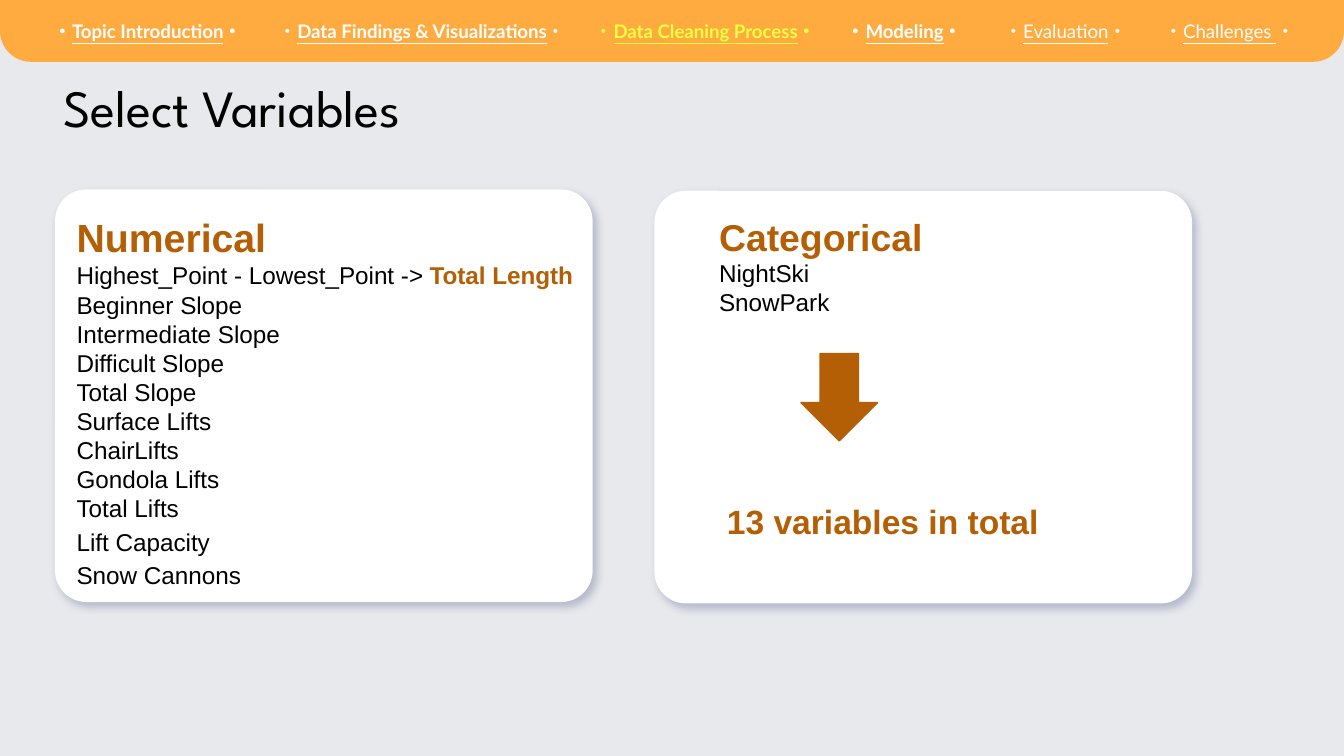
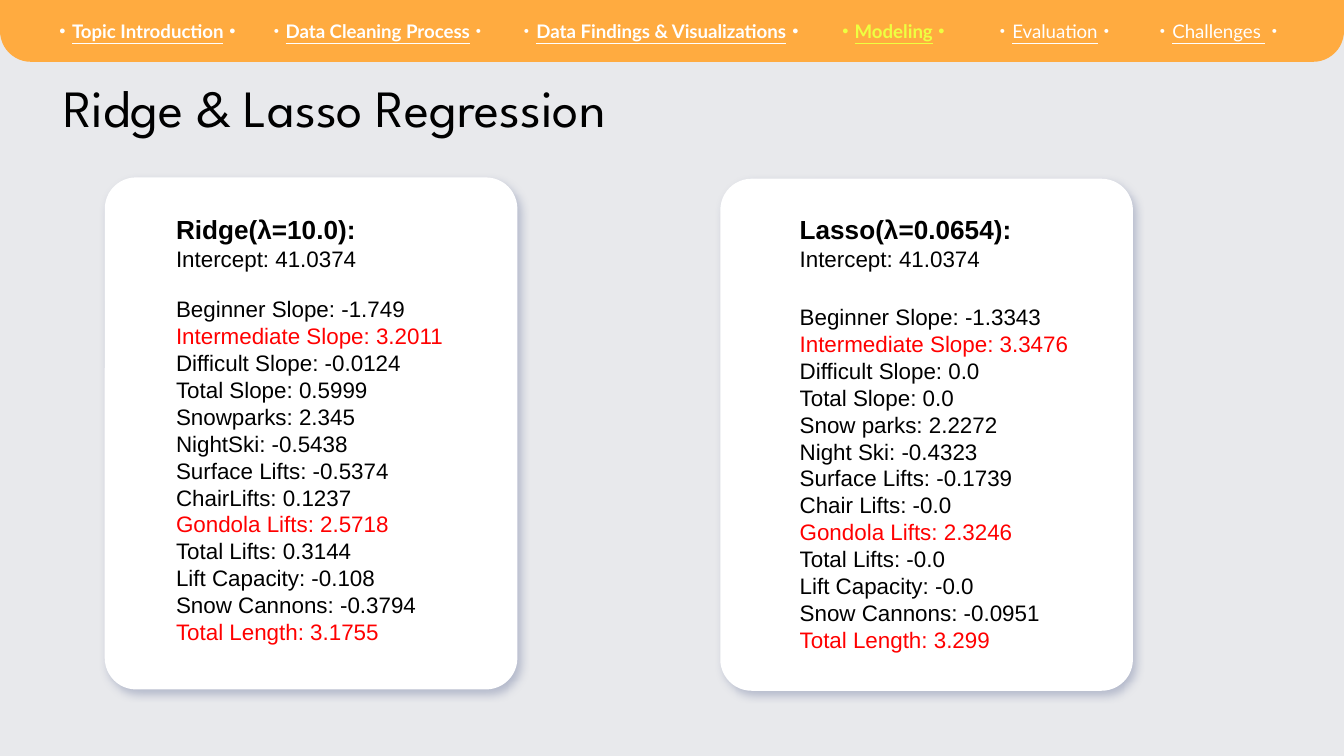
from dataclasses import dataclass
from typing import NamedTuple

from lxml import etree
from pptx import Presentation
from pptx import util as u
from pptx.dml.color import RGBColor
from pptx.enum import shapes, text
from pptx.oxml.ns import qn

PAGE, BAND, WHITE, BLACK = "E8E9EC", "FFAB40", "FFFFFF", "000000"
ACTIVE, BROWN, RED, SHADOW = "EEFF41", "B45F06", "FF0000", "22346F"
LINE_HEIGHT = 1.2
HIGHLIGHTS = ("Intermediate Slope", "Gondola Lifts", "Total Length")


class Box(NamedTuple):
    left: float
    top: float
    width: float
    height: float


@dataclass
class Run:
    text: str
    size: float
    color: str = BLACK
    bold: bool = False
    underline: bool = False
    font: str = "Arial"


@dataclass
class Line:
    runs: list[Run]
    spacing: float = 1.0
    gap: float = 0


@dataclass
class Tab:
    """Navigation entry; bold covers opening dot, label and closing dot."""
    label: str
    left: float
    width: float
    bold: tuple[bool, bool, bool]


@dataclass
class Panel:
    card: Box
    words: Box
    lines: list[Line]


@dataclass
class Page:
    title: str
    active: str
    tabs: list[Tab]
    panels: list[Panel]


def rgb(value: str) -> RGBColor:
    return RGBColor.from_string(value)


def place(shape, box: Box) -> None:
    for side, length in box._asdict().items():
        setattr(shape, side, u.Inches(length))


def set_frame(frame, inset: float, anchor=text.MSO_ANCHOR.TOP) -> None:
    margin = u.Inches(inset)
    values = {"word_wrap": True, "auto_size": text.MSO_AUTO_SIZE.NONE,
              "vertical_anchor": anchor, "margin_left": margin,
              "margin_right": margin, "margin_top": margin,
              "margin_bottom": margin}
    for name, value in values.items():
        setattr(frame, name, value)


def add_run(paragraph, run: Run) -> None:
    piece = paragraph.add_run()
    piece.text = run.text
    values = {"name": run.font, "size": u.Pt(run.size), "bold": run.bold,
              "underline": run.underline}
    for name, value in values.items():
        setattr(piece.font, name, value)
    piece.font.color.rgb = rgb(run.color)


def write(frame, lines: list[Line]) -> None:
    """Fill a frame with flush-left lines that have no bullets."""
    set_frame(frame, 0.1)
    for index, line in enumerate(lines):
        paragraph = frame.add_paragraph() if index else frame.paragraphs[0]
        height = max(run.size for run in line.runs) * LINE_HEIGHT
        values = {"alignment": text.PP_ALIGN.LEFT,
                  "line_spacing": u.Pt(height * line.spacing),
                  "space_before": u.Pt(line.gap), "space_after": u.Pt(0)}
        for name, value in values.items():
            setattr(paragraph, name, value)
        properties = paragraph._p.get_or_add_pPr()
        for name in ("marL", "indent"):
            properties.set(name, "0")
        etree.SubElement(properties, qn("a:buNone"))
        for run in line.runs:
            add_run(paragraph, run)


def add_filled(slide, kind, box: Box, color: str, adjustments=()):
    shape = slide.shapes.add_shape(kind, *map(u.Inches, box))
    for index, value in enumerate(adjustments):
        shape.adjustments[index] = value
    shape.fill.solid()
    shape.fill.fore_color.rgb = rgb(color)
    shape.line.fill.background()
    shape.shadow.inherit = False
    return shape


def add_card(slide, box: Box) -> None:
    card = add_filled(slide, shapes.MSO_SHAPE.ROUNDED_RECTANGLE, box, WHITE,
                      (0.076,))
    effects = card.element.spPr.find(qn("a:effectLst"))
    shadow = etree.SubElement(
        effects, qn("a:outerShdw"), blurRad=str(u.Pt(4.5)), dist=str(u.Pt(3)),
        dir=str(54 * 60000), algn="bl", rotWithShape="0")
    tint = etree.SubElement(shadow, qn("a:srgbClr"), val=SHADOW)
    etree.SubElement(tint, qn("a:alpha"), val="26000")


def add_words(slide, box: Box):
    return slide.shapes.add_textbox(*map(u.Inches, box)).text_frame


def add_navigation(slide, tabs: list[Tab], active: str) -> None:
    band = add_filled(slide, shapes.MSO_SHAPE.ROUND_2_SAME_RECTANGLE,
                      Box(0, 0, 10, 0.46), BAND, (0.5, 0))
    band.rotation = 180
    for tab in tabs:
        frame = add_words(slide, Box(tab.left, 0.04, tab.width, 0.38))
        set_frame(frame, 0.1, text.MSO_ANCHOR.MIDDLE)
        entry = frame.paragraphs[0]
        entry.alignment = text.PP_ALIGN.CENTER
        color = ACTIVE if tab.label == active else WHITE
        for part, bold in zip(("・", tab.label, "・"), tab.bold):
            add_run(entry, Run(part, 10, color, bold, part != "・", "Lato"))


def add_title(slide, title: str) -> None:
    heading = slide.shapes.title
    place(heading, Box(0.47, 0.47, 6.23, 0.47))
    set_frame(heading.text_frame, 0)
    paragraph = heading.text_frame.paragraphs[0]
    paragraph.alignment = text.PP_ALIGN.LEFT
    paragraph.line_spacing = 1.2
    add_run(paragraph, Run(title, 28, font="League Spartan"))


def add_page(prs, page: Page):
    slide = prs.slides.add_slide(prs.slide_layouts.get_by_name("Two Content"))
    heading, *bodies = slide.placeholders
    for panel in reversed(page.panels):
        add_card(slide, panel.card)
    for holder in (heading, *bodies):  # bring the text in front of the cards
        holder.element.getparent().append(holder.element)
    add_title(slide, page.title)
    for body, panel in zip(bodies, page.panels):
        place(body, panel.words)
        write(body.text_frame, panel.lines)
    add_navigation(slide, page.tabs, page.active)
    return slide


def navigation(middle: list[Tab], shift: float = 0) -> list[Tab]:
    """Surround the two data tabs with the tabs that both slides share."""
    return [Tab("Topic Introduction", 0.28, 1.64, (True, True, True)),
            *middle,
            Tab("Modeling", 6.04 + shift, 1.38, (True, True, True)),
            Tab("Evaluation", 6.99 + shift, 1.88, (False, False, False)),
            Tab("Challenges ", 8.42 + shift, 1.46, (False, False, False))]


def variables(heading: str, size: float, names: list[str]) -> list[Line]:
    return [Line([Run(heading, size, BROWN, True)]),
            *(Line([Run(name, 13)]) for name in names)]


def coefficients(model: str, gap: float, values: dict[str, str]) -> list[Line]:
    lines = [Line([Run(f"{model}:", 14, bold=True)]),
             Line([Run("Intercept: 41.0374", 12)])]
    for name, value in values.items():
        color = RED if name in HIGHLIGHTS else BLACK
        lines.append(Line([Run(f"{name}: {value}", 12, color)]))
    lines[2].gap = gap
    return lines


def select_variables() -> Page:
    numerical = variables("Numerical", 21, [
        "Highest_Point - Lowest_Point -> ", "Beginner Slope",
        "Intermediate Slope", "Difficult Slope", "Total Slope",
        "Surface Lifts", "ChairLifts", "Gondola Lifts", "Total Lifts",
        "Lift Capacity", "Snow Cannons"])
    numerical[1].runs.append(Run("Total Length", 13, BROWN, True))
    for line in numerical[-2:]:
        line.spacing = 1.15
    categorical = variables("Categorical", 20, ["NightSki", "SnowPark"])
    tabs = navigation([
        Tab("Data Findings & Visualizations", 1.95, 2.38,
            (False, True, False)),
        Tab("Data Cleaning Process", 4.06, 2.38, (False, True, True))])
    return Page("Select Variables", "Data Cleaning Process", tabs, [
        Panel(Box(0.41, 1.41, 4, 3.07), Box(0.47, 1.49, 4, 3.69), numerical),
        Panel(Box(4.87, 1.42, 4, 3.07), Box(5.25, 1.49, 2.64, 1.38),
              categorical)])


def regression() -> Page:
    ridge = coefficients("Ridge(λ=10.0)", 12.6, {
        "Beginner Slope": "-1.749", "Intermediate Slope": "3.2011",
        "Difficult Slope": "-0.0124", "Total Slope": "0.5999",
        "Snowparks": "2.345", "NightSki": "-0.5438",
        "Surface Lifts": "-0.5374", "ChairLifts": "0.1237",
        "Gondola Lifts": "2.5718", "Total Lifts": "0.3144",
        "Lift Capacity": "-0.108", "Snow Cannons": "-0.3794",
        "Total Length": "3.1755"})
    lasso = coefficients("Lasso(λ=0.0654)", 16.8, {
        "Beginner Slope": "-1.3343", "Intermediate Slope": "3.3476",
        "Difficult Slope": "0.0", "Total Slope": "0.0",
        "Snow parks": "2.2272", "Night Ski": "-0.4323",
        "Surface Lifts": "-0.1739", "Chair Lifts": "-0.0",
        "Gondola Lifts": "2.3246", "Total Lifts": "-0.0",
        "Lift Capacity": "-0.0", "Snow Cannons": "-0.0951",
        "Total Length": "3.299"})
    tabs = navigation([
        Tab("Data Cleaning Process", 1.87, 1.88, (False, True, False)),
        Tab("Data Findings & Visualizations", 3.73, 2.38,
            (False, True, True))], shift=-0.08)
    return Page("Ridge & Lasso Regression", "Modeling", tabs, [
        Panel(Box(0.78, 1.32, 3.07, 3.81), Box(1.21, 1.49, 3.48, 3.44), ridge),
        Panel(Box(5.36, 1.33, 3.07, 3.81), Box(5.85, 1.49, 3.28, 3.5), lasso)])


def main() -> None:
    prs = Presentation()
    prs.slide_width = u.Inches(10)
    prs.slide_height = prs.slide_width * 9 // 16
    backdrop = prs.slide_master.background.fill
    backdrop.solid()
    backdrop.fore_color.rgb = rgb(PAGE)

    selection = add_page(prs, select_variables())
    arrow = add_filled(selection, shapes.MSO_SHAPE.DOWN_ARROW,
                       Box(5.96, 2.63, 0.57, 0.65), BROWN, (0.5, 0.5))
    arrow.line.color.rgb = rgb(BROWN)
    arrow.line.width = u.Pt(0.75)
    write(add_words(selection, Box(5.31, 3.63, 3.01, 0.5)),
          [Line([Run("13 variables in total", 18, BROWN, True)])])

    add_page(prs, regression())
    prs.save("out.pptx")


if __name__ == "__main__":
    main()
